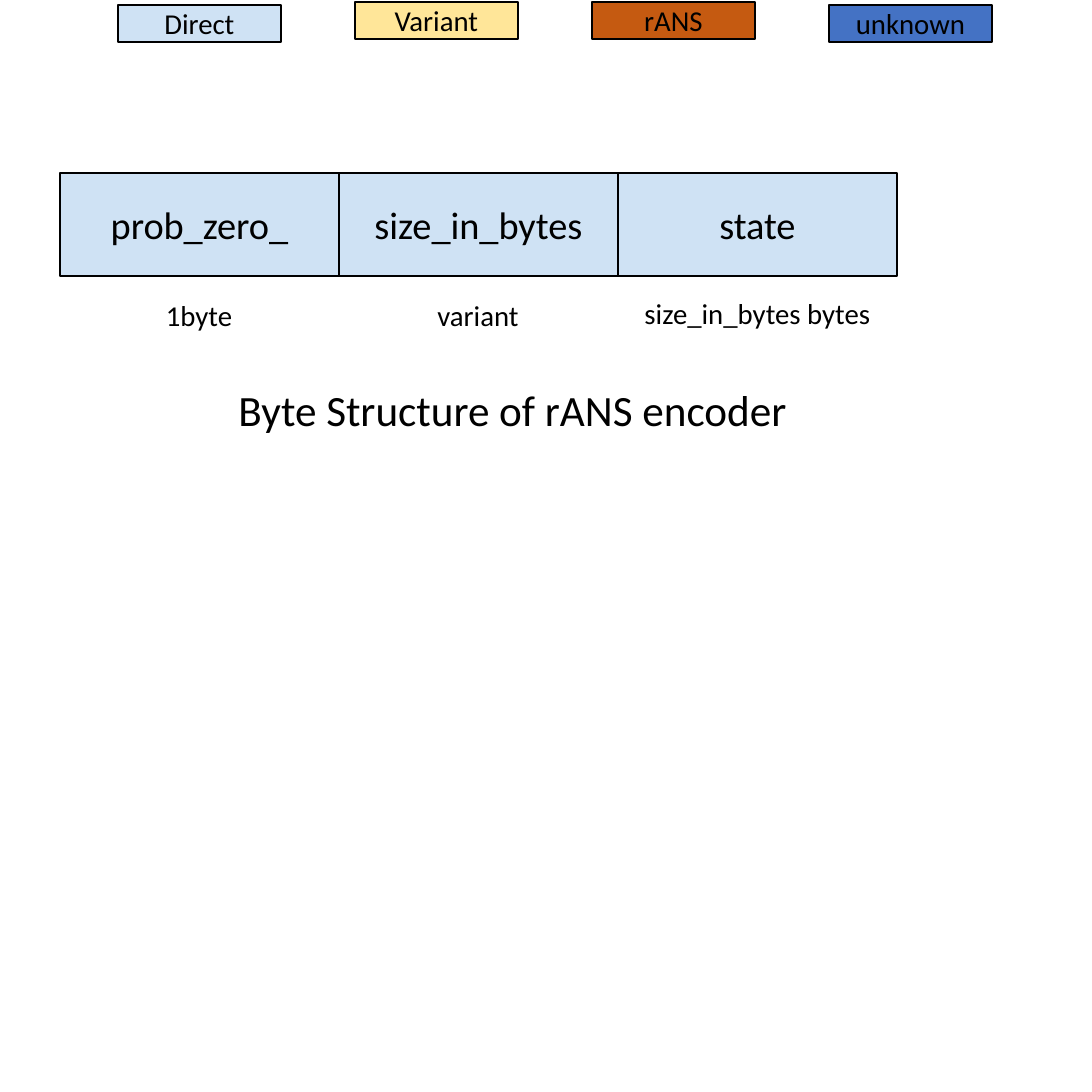
from dataclasses import dataclass

from pptx import Presentation
from pptx.dml.color import RGBColor as RGB
from pptx.enum.shapes import MSO_SHAPE as SHAPE
from pptx.enum.text import MSO_ANCHOR as ANCHOR, MSO_AUTO_SIZE as FIT, PP_ALIGN as ALIGN
from pptx.util import Emu, Pt

EMU_PER_PX = 914400 / 172.8
SLIDE_SIDE = 1092
TITLE_ONLY = 5


@dataclass(frozen=True)
class Theme:
    font: str = "Calibri"
    ink: str = "000000"
    direct: str = "CFE2F4"
    variant: str = "FFE699"
    rans: str = "C55A11"
    unknown: str = "4472C4"
    small: int = 12
    field: int = 16
    title: int = 18
    line: int = 1


THEME = Theme()

# Legend: name, fill, top
LEGEND = [
    ("Direct", THEME.direct, 5),
    ("Variant", THEME.variant, 2),
    ("rANS", THEME.rans, 2),
    ("unknown", THEME.unknown, 5),
]
LEGEND_LEFT, LEGEND_PITCH, LEGEND_W, LEGEND_H = 118, 237, 163, 37

# Fields: name, size label, label width, label top
FIELDS = [
    ("prob_zero_", "1byte", 102, 289),
    ("size_in_bytes", "variant", 116, 289),
    ("state", "size_in_bytes bytes", 263, 287),
]
FIELD_LEFT, FIELD_TOP, FIELD_W, FIELD_H = 60, 173, 279, 103
LABEL_H = 52


def px(n):
    return Emu(round(n * EMU_PER_PX))


def set_all(obj, values):
    for name, value in values.items():
        setattr(obj, name, value)


def write(sp, text, size, align=ALIGN.CENTER, **frame):
    tf = sp.text_frame
    set_all(tf, frame)
    p = tf.paragraphs[0]
    p.alignment = align
    r = p.add_run()
    r.text = text
    set_all(r.font, {"name": THEME.font, "size": Pt(size)})
    r.font.color.rgb = RGB.from_string(THEME.ink)


def add_box(slide, text, x, y, w, h, fill, size):
    sp = slide.shapes.add_shape(SHAPE.RECTANGLE, px(x), px(y), px(w), px(h))
    sp.shadow.inherit = False
    sp.fill.solid()
    sp.fill.fore_color.rgb = RGB.from_string(fill)
    sp.line.color.rgb = RGB.from_string(THEME.ink)
    sp.line.width = Pt(THEME.line)
    write(sp, text, size, vertical_anchor=ANCHOR.MIDDLE)


def add_label(slide, text, x, y, w, h):
    sp = slide.shapes.add_textbox(px(x), px(y), px(w), px(h))
    write(sp, text, THEME.small, word_wrap=False, auto_size=FIT.SHAPE_TO_FIT_TEXT)


def set_title(slide, text, x, y, w, h):
    sp = slide.shapes.title
    set_all(sp, {"left": px(x), "top": px(y), "width": px(w), "height": px(h)})
    write(sp, text, THEME.title, ALIGN.LEFT, word_wrap=False,
          auto_size=FIT.SHAPE_TO_FIT_TEXT, vertical_anchor=ANCHOR.TOP)


def main():
    prs = Presentation()
    set_all(prs, {"slide_width": px(SLIDE_SIDE), "slide_height": px(SLIDE_SIDE)})
    slide = prs.slides.add_slide(prs.slide_layouts[TITLE_ONLY])

    # Colour legend
    for i, (name, fill, top) in enumerate(LEGEND):
        add_box(slide, name, LEGEND_LEFT + i * LEGEND_PITCH, top,
                LEGEND_W, LEGEND_H, fill, THEME.small)

    # Byte fields, each with its size centred below
    for i, (name, label, label_w, label_top) in enumerate(FIELDS):
        x = FIELD_LEFT + i * FIELD_W
        add_box(slide, name, x, FIELD_TOP, FIELD_W, FIELD_H, THEME.direct, THEME.field)
        add_label(slide, label, x + (FIELD_W - label_w) // 2, label_top, label_w, LABEL_H)

    # Title under the fields
    set_title(slide, "Byte Structure of rANS encoder", 221, 375, 589, 69)

    prs.save("out.pptx")


if __name__ == "__main__":
    main()
